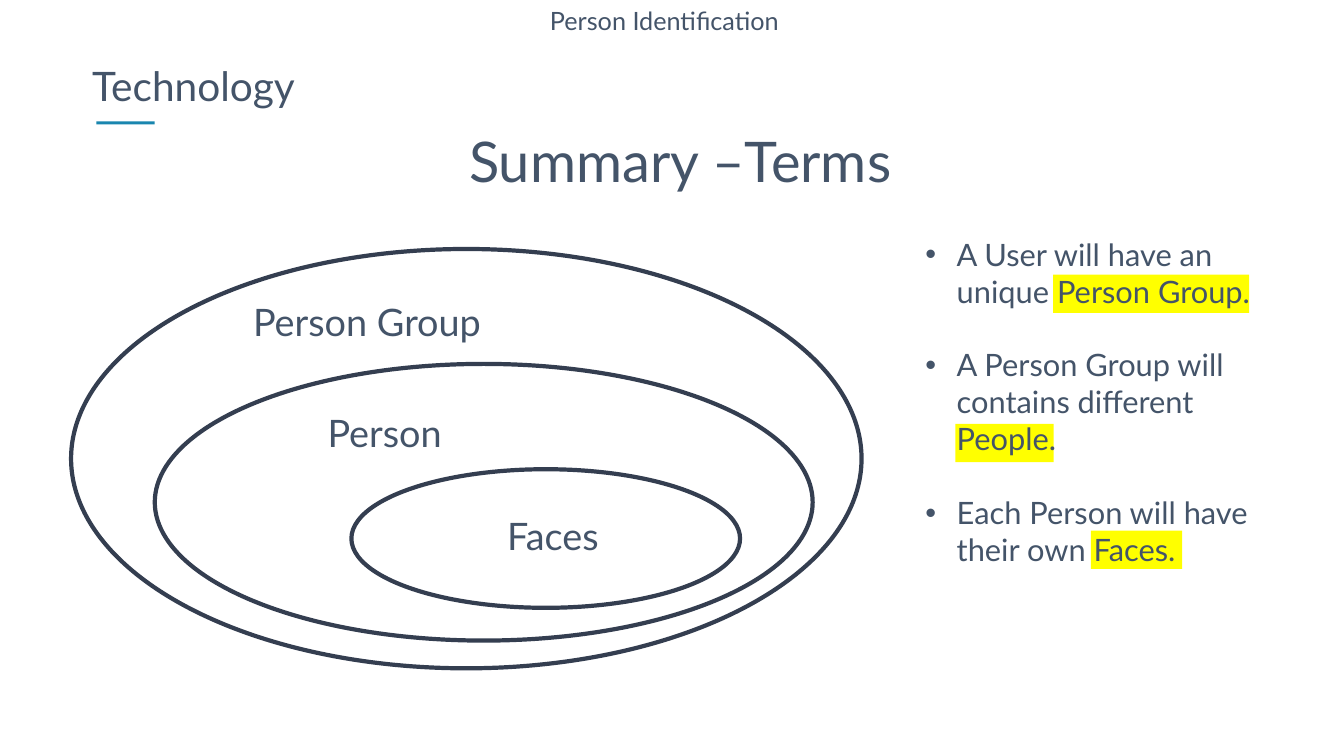
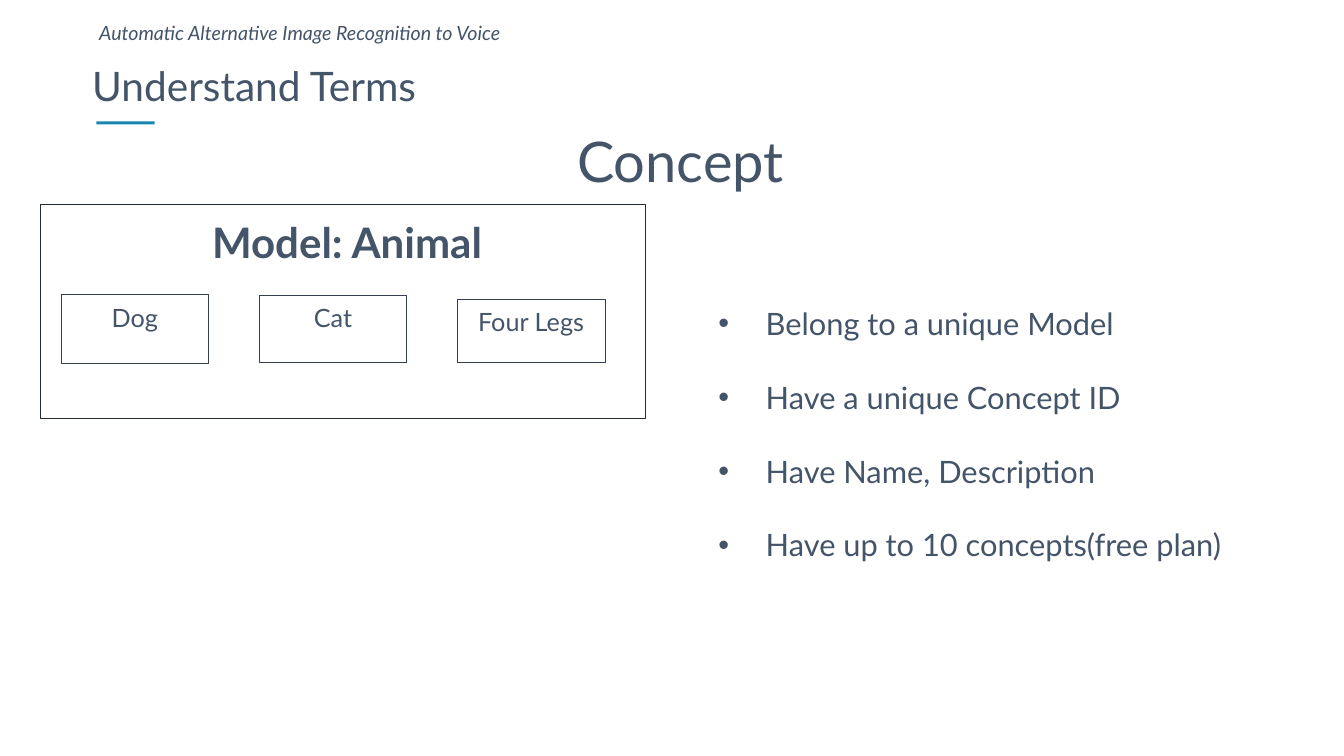
from lxml import etree
from pptx import Presentation
from pptx.dml.color import RGBColor
from pptx.enum import shapes, text
from pptx.oxml.ns import qn
from pptx.util import Inches, Pt

SLATE = RGBColor(0x44, 0x54, 0x69)
OUTLINE = RGBColor(0x34, 0x3E, 0x50)
FRAME = RGBColor(0x22, 0x2A, 0x34)
ACCENT = RGBColor(0x19, 0x86, 0xAF)
YELLOW = RGBColor(0xFF, 0xFF, 0x00)
WHITE = RGBColor(0xFF, 0xFF, 0xFF)

RECT = shapes.MSO_SHAPE.RECTANGLE
OVAL = shapes.MSO_SHAPE.OVAL
LEFT, CENTER = text.PP_ALIGN.LEFT, text.PP_ALIGN.CENTER


class Deck:
    """Shared style and the slide being built."""

    font = "Lato"

    def __init__(self):
        self.prs = Presentation()
        self.prs.slide_width = Inches(26.66)
        self.prs.slide_height = Inches(15)
        self.s = None

    def new_slide(self):
        self.s = self.prs.slides.add_slide(self.prs.slide_layouts[6])
        fill = self.s.background.fill
        fill.solid()
        fill.fore_color.rgb = WHITE

    def shape(self, kind, box, fill=None, line=None, weight=1):
        sp = self.s.shapes.add_shape(kind, *map(Inches, box))
        sp.shadow.inherit = False
        if fill is None:
            sp.fill.background()
        else:
            sp.fill.solid()
            sp.fill.fore_color.rgb = fill
        if line is None:
            sp.line.fill.background()
        else:
            sp.line.color.rgb = line
            sp.line.width = Pt(weight)
        return sp

    def frame(self, box, wrap=True):
        tf = self.s.shapes.add_textbox(*map(Inches, box)).text_frame
        tf.word_wrap = wrap
        tf.auto_size = text.MSO_AUTO_SIZE.SHAPE_TO_FIT_TEXT
        return tf

    def run(self, p, words, size, bold=None, italic=None):
        r = p.add_run()
        r.text = words
        r.font.name = self.font
        r.font.size = Pt(size)
        r.font.color.rgb = SLATE
        r.font.bold = bold
        r.font.italic = italic

    def label(self, box, words, size, align=CENTER, wrap=True, **style):
        tf = self.frame(box, wrap)
        p = tf.paragraphs[0]
        p.alignment = align
        self.run(p, words, size, **style)
        return tf

    def bullets(self, box, items, indent, size=44, spacing=None, gap=0):
        tf = self.frame(box)
        for i, item in enumerate(items):
            p = tf.add_paragraph() if i else tf.paragraphs[0]
            pPr = p._p.get_or_add_pPr()
            pPr.set("marL", str(Inches(indent)))
            pPr.set("indent", str(-Inches(indent)))
            etree.SubElement(pPr, qn("a:buFont")).set("typeface", "Arial")
            etree.SubElement(pPr, qn("a:buChar")).set("char", "•")
            if spacing:
                p.line_spacing = spacing
            if i and gap:
                p.space_before = Pt(gap)
            self.run(p, item, size)

    def heading(self, section, section_width, title, title_box):
        tf = self.label((1.83, 1.21, section_width, 0.98), section, 58,
                        align=LEFT, wrap=False)
        tf.vertical_anchor = text.MSO_ANCHOR.MIDDLE
        tf.margin_left = tf.margin_right = tf.margin_top = tf.margin_bottom = 0
        self.shape(RECT, (1.91, 2.41, 1.16, 0.06), fill=ACCENT)
        self.label(title_box, title, 80, wrap=False)


def terms_slide(deck):
    deck.new_slide()

    # Highlights behind the key words
    for box in ((21.64, 10.53, 1.81, 0.76),
                (18.95, 8.41, 1.95, 0.76),
                (20.89, 5.45, 3.89, 0.76)):
        deck.shape(RECT, box, fill=YELLOW)

    # Header
    deck.label((9.81, 0.06, 6.74, 0.71), "Person Identification", 36)
    deck.heading("Technology", 4.16, "Summary –Terms", (9.08, 2.47, 8.83, 1.45))

    # Nested sets: ellipse, then left and top of its label
    for name, ellipse, left, top in (
            ("Person Group", (1.41, 4.94, 15.68, 8.32), 4.75, 5.88),
            ("Person", (3.07, 7.22, 13.05, 5.49), 5.1, 8.07),
            ("Faces", (6.97, 9.31, 7.71, 2.75), 8.44, 10.12)):
        deck.shape(OVAL, ellipse, line=OUTLINE, weight=6)
        deck.label((left, top, 5.06, 1.01), name, 54)

    # Explanations
    deck.bullets((18.26, 4.62, 7.03, 6.77),
                 ("A User will have an unique Person Group.",
                  "A Person Group will contains different People.",
                  "Each Person will have their own Faces."),
                 indent=0.62, gap=52.8)


def concept_slide(deck):
    deck.new_slide()

    # Header
    deck.heading("Understand Terms", 6.63, "Concept", (11.31, 2.47, 4.38, 1.45))
    deck.label((1.87, 0.36, 8.79, 0.57),
               "Automatic Alternative Image Recognition to Voice", 28,
               align=LEFT, wrap=False, italic=True)

    # Model with its concepts
    deck.shape(RECT, (0.8, 4.06, 12, 4.25), fill=WHITE, line=FRAME)
    deck.label((2.45, 4.25, 8.87, 1.11), "Model: Animal", 60, bold=True)
    width, bottom, label_width = 2.93, 7.2, 2.6
    for i, (name, top) in enumerate((("Dog", 5.85), ("Cat", 5.86),
                                     ("Four Legs", 5.94))):
        left = 1.21 + i * 3.93
        deck.shape(RECT, (left, top, width, bottom - top), line=OUTLINE)
        deck.label((left + (width - label_width) / 2, top + 0.09,
                    label_width, 0.71), name, 36)

    # Properties of a concept
    deck.bullets((14.15, 5.26, 12.15, 6.02),
                 ("Belong to a unique Model",
                  "Have a unique Concept ID",
                  "Have Name, Description",
                  "Have up to 10 concepts(free plan)"),
                 indent=0.94, spacing=2.0)


def main():
    deck = Deck()
    terms_slide(deck)
    concept_slide(deck)
    deck.prs.save("out.pptx")


if __name__ == "__main__":
    main()
